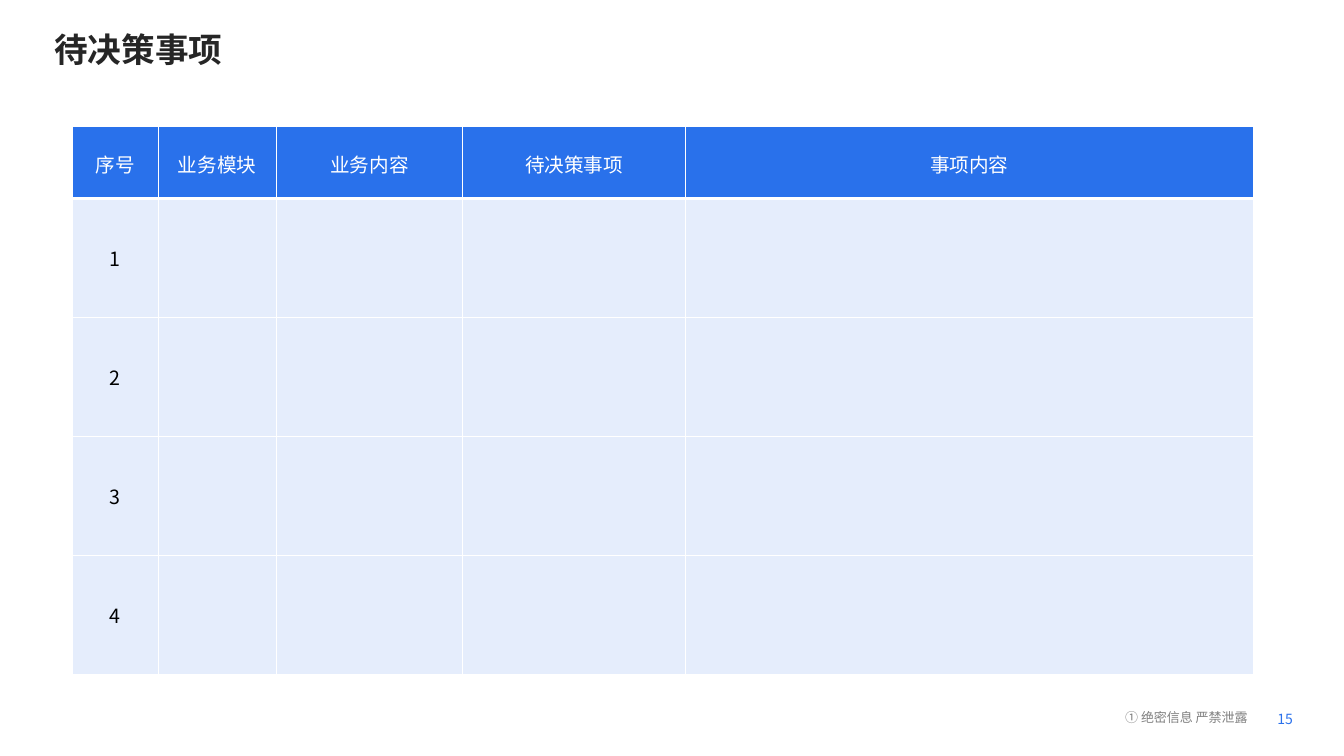
from typing import Any, NamedTuple

from lxml import etree
from pptx import Presentation
from pptx.dml.color import RGBColor
from pptx.enum.text import MSO_ANCHOR, PP_ALIGN
from pptx.oxml.ns import qn
from pptx.util import Inches, Pt

MIDDLE = MSO_ANCHOR.MIDDLE
LEFT, CENTER = PP_ALIGN.LEFT, PP_ALIGN.CENTER
FONT = "Noto Sans CJK SC"
COLORS = {
    "title": "262626",
    "page": "2A71EC",
    "notice": "808080",
    "header": "2971EB",
    "body": "E5EDFC",
    "white": "FFFFFF",
    "black": "000000",
}


class Label(NamedTuple):
    text: str
    box: tuple[float, float, float, float]
    size: float
    color: str
    inset: tuple[float, float] = (0, 0)
    bold: bool = False
    wrap: bool = False


class RowStyle(NamedTuple):
    fill: str
    text_color: str
    inset: tuple[float, float]
    bottom_border: float
    paragraph: dict[str, Any]


LABELS = [
    Label("15", (12.67, 7.05, 0.23, 0.17), 10, "page"),
    Label("① 绝密信息 严禁泄露", (11.15, 7.02, 1.31, 0.19), 9.3, "notice", (0.01, 0.01)),
    Label("待决策事项", (0.44, 0.23, 10.6, 0.51), 24, "title", (0.1, 0.05), True, True),
]
HEADINGS = ["序号", "业务模块", "业务内容", "待决策事项", "事项内容"]
COLUMN_WIDTHS = [0.85, 1.17, 1.85, 2.21, 5.63]
HEADER_HEIGHT, ITEM_HEIGHT, ITEM_COUNT = 0.72, 1.18, 4
HEADER_STYLE = RowStyle("header", "white", (0.08, 0.04), 3,
                        {"line_spacing": 1.1, "space_after": Pt(6)})
ITEM_STYLE = RowStyle("body", "black", (0.06, 0), 1, {"space_after": Pt(10)})


def rgb(name: str) -> RGBColor:
    return RGBColor.from_string(COLORS[name])


def set_attributes(target: Any, values: dict[str, Any]) -> None:
    for name, value in values.items():
        setattr(target, name, value)


def margins(inset: tuple[float, float]) -> dict[str, Any]:
    across, down = map(Inches, inset)
    return {"margin_left": across, "margin_right": across,
            "margin_top": down, "margin_bottom": down}


def write(paragraph: Any, text: str, size: float, color: str, bold: bool = False) -> None:
    """Add a run whose Latin and East Asian fonts are both FONT."""
    run = paragraph.add_run()
    run.text = text
    set_attributes(run.font, {"name": FONT, "size": Pt(size), "bold": bold})
    run.font.color.rgb = rgb(color)
    etree.SubElement(run.font._element, qn("a:ea"), typeface=FONT)


def add_label(slide: Any, label: Label) -> None:
    frame = slide.shapes.add_textbox(*map(Inches, label.box)).text_frame
    set_attributes(frame, {"word_wrap": label.wrap, "vertical_anchor": MIDDLE,
                           **margins(label.inset)})
    frame.paragraphs[0].alignment = LEFT
    write(frame.paragraphs[0], label.text, label.size, label.color, label.bold)


def add_borders(cell: Any, bottom: float) -> None:
    properties = cell._tc.get_or_add_tcPr()
    for side, width in {"L": 1, "R": 1, "T": 1, "B": bottom}.items():
        line = etree.SubElement(properties, qn(f"a:ln{side}"), w=str(Pt(width)))
        fill = etree.SubElement(line, qn("a:solidFill"))
        etree.SubElement(fill, qn("a:srgbClr"), val=COLORS["white"])


def fill_cell(cell: Any, text: str, style: RowStyle) -> None:
    add_borders(cell, style.bottom_border)
    cell.fill.solid()
    cell.fill.fore_color.rgb = rgb(style.fill)
    set_attributes(cell, {"vertical_anchor": MIDDLE, **margins(style.inset)})
    if text:
        paragraph = cell.text_frame.paragraphs[0]
        set_attributes(paragraph, {"alignment": CENTER, **style.paragraph})
        write(paragraph, text, 14, style.text_color)


def add_decision_table(slide: Any) -> None:
    heights = [HEADER_HEIGHT] + [ITEM_HEIGHT] * ITEM_COUNT
    blanks = [""] * (len(HEADINGS) - 1)
    rows = [HEADINGS] + [[str(n), *blanks] for n in range(1, ITEM_COUNT + 1)]
    table = slide.shapes.add_table(
        len(rows), len(HEADINGS), Inches(0.72), Inches(1.25),
        Inches(sum(COLUMN_WIDTHS)), Inches(sum(heights))).table
    for column, width in zip(table.columns, COLUMN_WIDTHS):
        column.width = Inches(width)
    for index, (row, height, texts) in enumerate(zip(table.rows, heights, rows)):
        row.height = Inches(height)
        for cell, text in zip(row.cells, texts):
            fill_cell(cell, text, ITEM_STYLE if index else HEADER_STYLE)


def main() -> None:
    presentation = Presentation()
    presentation.slide_width = Inches(13.33)
    presentation.slide_height = Inches(7.5)
    slide = presentation.slides.add_slide(presentation.slide_layouts[6])
    for label in LABELS:
        add_label(slide, label)
    add_decision_table(slide)
    presentation.save("out.pptx")


if __name__ == "__main__":
    main()
